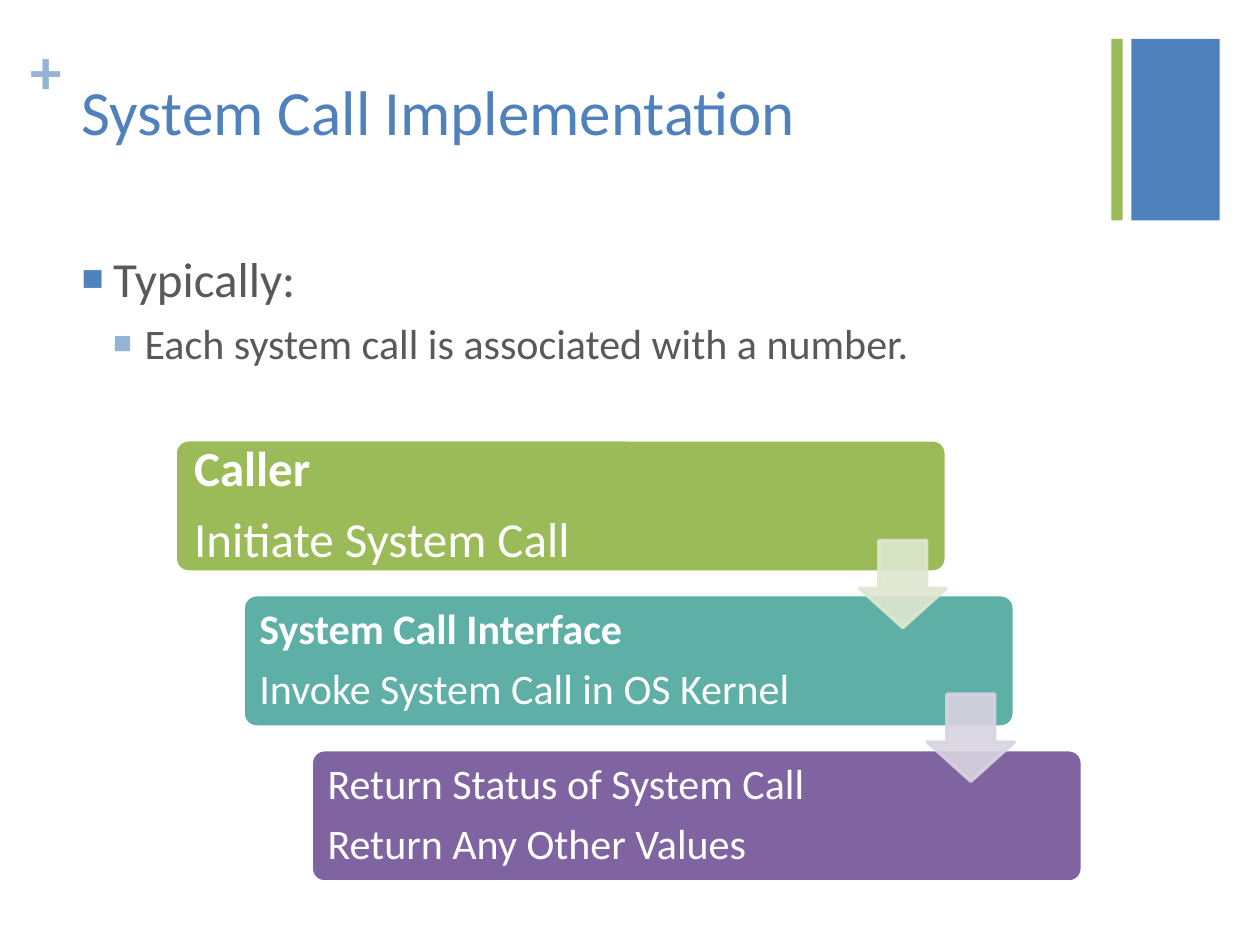
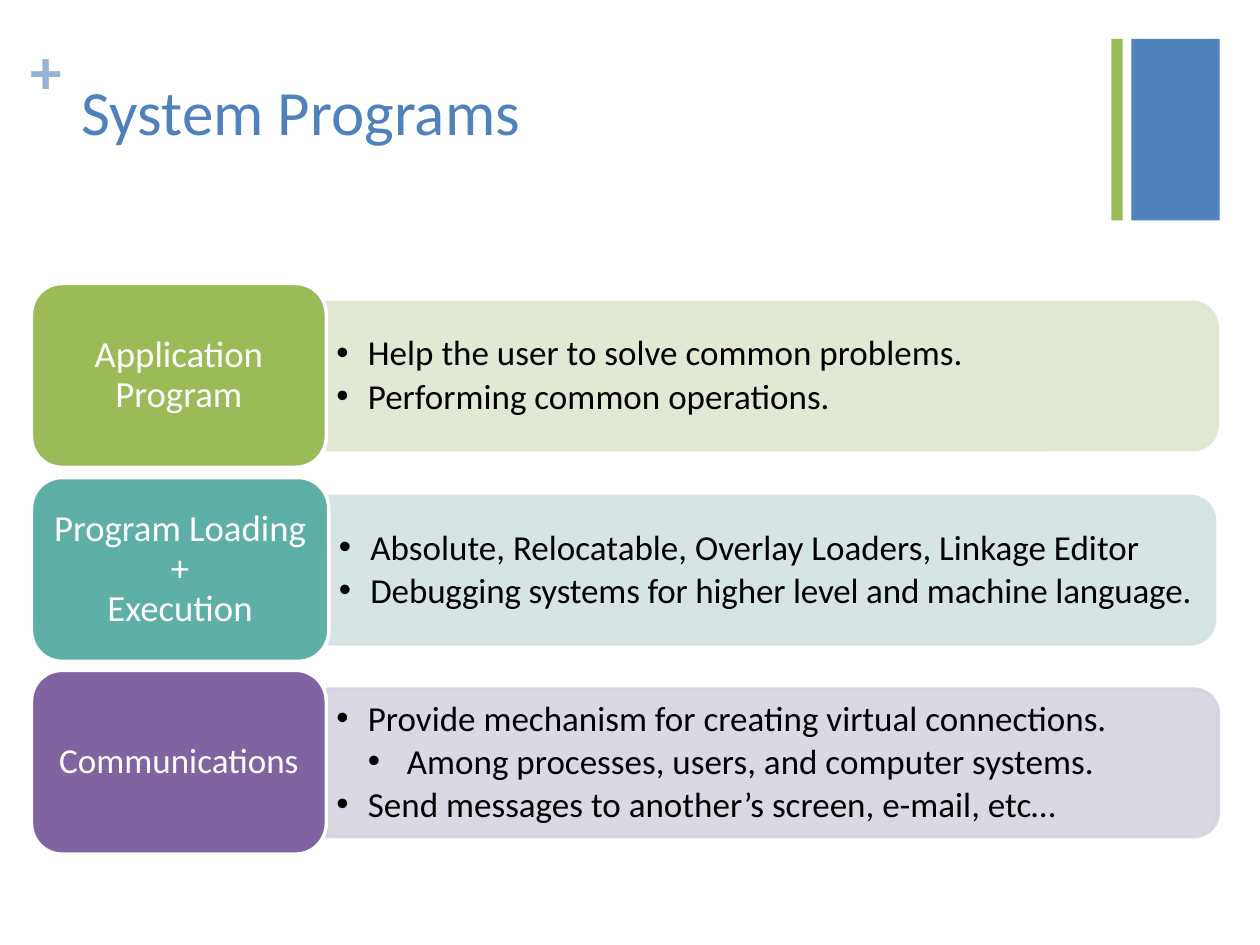
import pptx
import pptx.dml.color
import pptx.enum.shapes
import pptx.enum.text
import pptx.oxml.ns
import pptx.util
from lxml import etree

PX = 9144
SHAPES = pptx.enum.shapes.MSO_SHAPE
ALIGN = pptx.enum.text.PP_ALIGN
ANCHOR = pptx.enum.text.MSO_ANCHOR
qn = pptx.oxml.ns.qn

BLUE, SKY, GREEN, TEAL, PURPLE = "4F81BD", "95B3D7", "9BBB59", "5EAFA6", "8064A2"
PALE_GREEN, PALE_TEAL, PALE_PURPLE = "DEE7D1", "D2E3E2", "D8D3E0"
GREY, WHITE, BLACK = "595959", "FFFFFF", "000000"


def rgb(color):
    return pptx.dml.color.RGBColor.from_string(color)


def assign(target, values):
    for name, value in values.items():
        setattr(target, name, value)


class Deck:
    font = "Calibri"

    def __init__(self):
        self.presentation = pptx.Presentation()
        self.presentation.slide_width = 1000 * PX
        self.presentation.slide_height = 750 * PX
        self.slide = None

    def new_slide(self, title):
        layout = self.presentation.slide_layouts[6]
        self.slide = self.presentation.slides.add_slide(layout)
        self.shape(SHAPES.RECTANGLE, (898, 31, 70, 144), BLUE)
        self.text((24, 25, 29, 61), [self.line("+", 36, SKY, bold=True)], (0, 0))
        self.shape(SHAPES.RECTANGLE, (882, 31, 9, 144), GREEN)
        self.text((55, 53, 826, 122), [self.line(title, 36, BLUE)])

    def line(self, words, size, color, bold=False, bullet=None, tracking=0, **layout):
        return dict(words=words, color=color, bullet=bullet, tracking=tracking, layout=layout,
                    style=dict(size=pptx.util.Pt(size), bold=bold, name=self.font))

    def bullet(self, paragraph, mark, color, percent, left, hang):
        properties = paragraph._p.get_or_add_pPr()
        properties.set("marL", str(left * PX))
        properties.set("indent", str(-hang * PX))
        tint = etree.SubElement(properties, qn("a:buClr"))
        etree.SubElement(tint, qn("a:srgbClr"), val=color)
        etree.SubElement(properties, qn("a:buSzPct"), val=str(percent * 1000))
        etree.SubElement(properties, qn("a:buFont"), typeface="Arial")
        etree.SubElement(properties, qn("a:buChar"), char=mark)

    def fill_frame(self, frame, lines, insets, anchor):
        across, down = (inset * PX for inset in insets)
        assign(frame, dict(word_wrap=True, vertical_anchor=anchor, margin_left=across,
                           margin_right=across, margin_top=down, margin_bottom=down))
        for index, line in enumerate(lines):
            paragraph = frame.add_paragraph() if index else frame.paragraphs[0]
            if line["bullet"]:
                self.bullet(paragraph, *line["bullet"])
            assign(paragraph, line["layout"])
            run = paragraph.add_run()
            run.text = line["words"]
            assign(run.font, line["style"])
            run.font.color.rgb = rgb(line["color"])
            if line["tracking"]:
                run._r.get_or_add_rPr().set("spc", str(line["tracking"]))

    def text(self, box, lines, insets=(10, 5), anchor=ANCHOR.TOP):
        textbox = self.slide.shapes.add_textbox(*(side * PX for side in box))
        self.fill_frame(textbox.text_frame, lines, insets, anchor)

    def shape(self, kind, box, fill, edge=None, adjust=(), alpha=None):
        shape = self.slide.shapes.add_shape(kind, *(int(side * PX) for side in box))
        shape.shadow.inherit = False
        shape.fill.solid()
        shape.fill.fore_color.rgb = rgb(fill)
        if edge:
            shape.line.color.rgb = rgb(edge)
            shape.line.width = pptx.util.Pt(2)
        else:
            shape.line.fill.background()
        for index, value in enumerate(adjust):
            shape.adjustments[index] = value
        if alpha:
            for tint in shape._element.spPr.iter(qn("a:srgbClr")):
                etree.SubElement(tint, qn("a:alpha"), val=str(alpha * 1000))
        return shape

    def card(self, box, fill, lines, insets, adjust=()):
        card = self.shape(SHAPES.ROUNDED_RECTANGLE, box, fill, WHITE, adjust)
        self.fill_frame(card.text_frame, lines, insets, ANCHOR.MIDDLE)

    def arrow(self, box, color):
        self.shape(SHAPES.DOWN_ARROW, box, color, color, (0.55, 0.45), 90)

    def panel(self, box, color):
        left, top, width, height = box
        shift = (width - height) / 2
        upright = (left + shift, top - shift, height, width)
        self.shape(SHAPES.ROUND_2_SAME_RECTANGLE, upright, color, color, alpha=90).rotation = 90


def build_implementation(deck):
    deck.new_slide("System Call Implementation")
    deck.text((55, 192, 912, 500), [
        deck.line("Typically:", 28, GREY, bullet=("■", BLUE, 75, 25, 25)),
        deck.line("Each system call is associated with a number.", 24, GREY,
                  bullet=("■", SKY, 75, 50, 25), level=1, space_before=pptx.util.Pt(6)),
    ])
    steps = [
        (GREEN, 28, 12, [("Caller", True), ("Initiate System Call", False)]),
        (TEAL, 24, 10, [("System Call Interface", True),
                        ("Invoke System Call in OS Kernel", False)]),
        (PURPLE, 24, 10, [("Return Status of System Call", False),
                          ("Return Any Other Values", False)]),
    ]
    for index, (color, size, inset, words) in enumerate(steps):
        lines = [deck.line(phrase, size, WHITE, bold, alignment=ALIGN.LEFT, line_spacing=0.9,
                           space_after=pptx.util.Pt(round(size * 0.35)))
                 for phrase, bold in words]
        deck.card((139 + 54 * index, 349 + 123 * index, 612, 105), color, lines,
                  (inset, inset), (0.1,))
    for index, color in enumerate((PALE_GREEN, PALE_PURPLE)):
        deck.arrow((682 + 54 * index, 429 + 122 * index, 69, 69), color)


def build_programs(deck):
    deck.new_slide("System Programs")
    programs = [
        (GREEN, PALE_GREEN, 234, 707, 21, 7, ["Application Program"],
         [("Help the user to solve common problems.", 1, 0),
          ("Performing common operations.", 1, 0)]),
        (TEAL, PALE_TEAL, 236, 703, 21, 0, ["Program Loading", "+", "Execution"],
         [("Absolute, Relocatable, Overlay Loaders, Linkage Editor", 1, 0),
          ("Debugging systems for higher level and machine language.", 1, -10)]),
        (PURPLE, PALE_PURPLE, 234, 708, 20, 7, ["Communications"],
         [("Provide mechanism for creating virtual connections.", 1, 0),
          ("Among processes, users, and computer systems.", 2, 0),
          ("Send messages to another’s screen, e-mail, etc…", 1, 0)]),
    ]
    hangs = {1: (25, 25), 2: (56, 31)}
    for index, program in enumerate(programs):
        color, pale, name_width, panel_width, size, gap, name, duties = program
        top = 225 + round(153.5 * index)
        left = 25 + name_width
        deck.panel((left, top + 15, panel_width, 117), pale)
        deck.text((left, top + 21, panel_width - 5, 105), [
            deck.line(duty, 20, BLACK, bullet=("•", BLACK, 100, *hangs[level]), level=level,
                      tracking=tracking, line_spacing=0.9, space_after=pptx.util.Pt(3))
            for duty, level, tracking in duties], (8, 14), ANCHOR.MIDDLE)
        deck.card((25, top, name_width, 146), color, [
            deck.line(part, size, WHITE, alignment=ALIGN.CENTER, line_spacing=0.9,
                      space_after=pptx.util.Pt(gap)) for part in name], (9, 4))


def main():
    deck = Deck()
    build_implementation(deck)
    build_programs(deck)
    deck.presentation.save("out.pptx")


if __name__ == "__main__":
    main()
